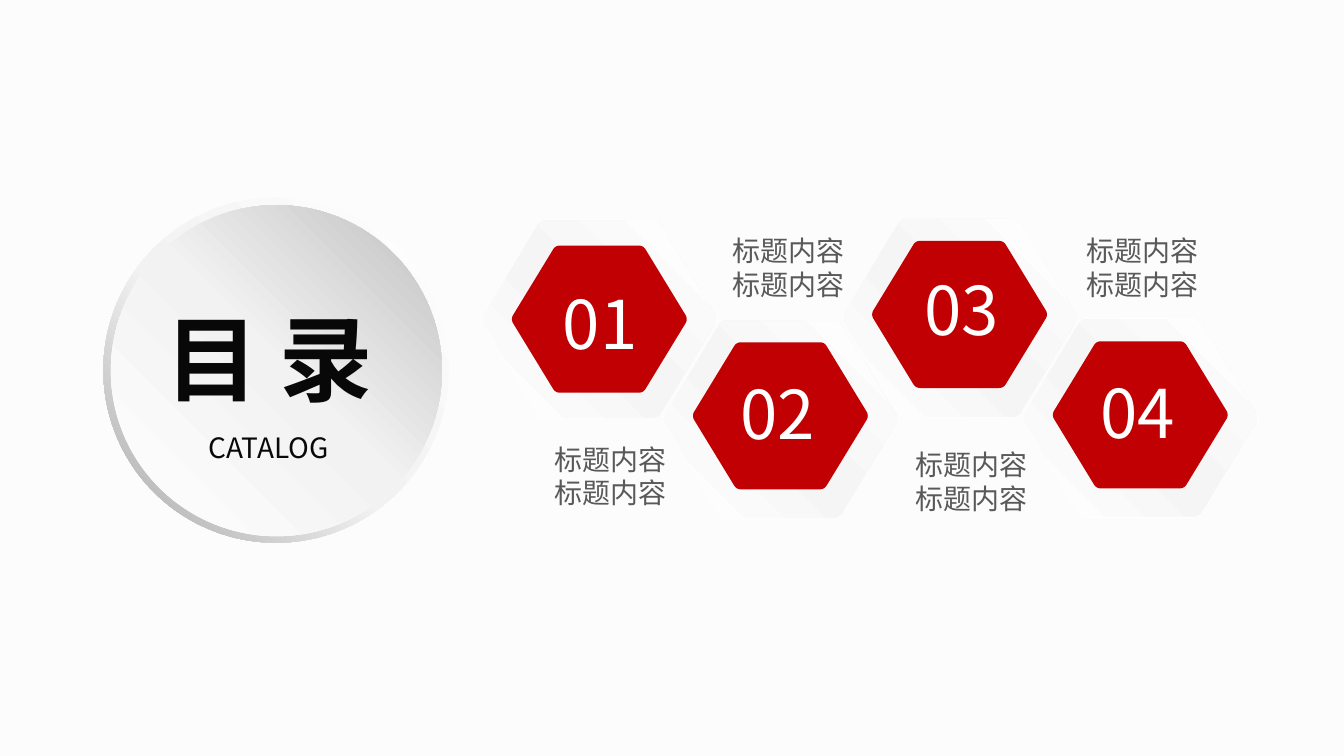
from dataclasses import dataclass
from copy import deepcopy

from lxml import etree
from pptx import Presentation
from pptx.dml.color import RGBColor
from pptx.enum.shapes import MSO_SHAPE
from pptx.enum.text import MSO_ANCHOR, MSO_AUTO_SIZE, PP_ALIGN
from pptx.oxml.ns import qn
from pptx.util import Pt

DONUT, ELLIPSE = MSO_SHAPE.DONUT, MSO_SHAPE.OVAL
LEFT, CENTER = PP_ALIGN.LEFT, PP_ALIGN.CENTER
TOP, MIDDLE = MSO_ANCHOR.TOP, MSO_ANCHOR.MIDDLE
GROW, FIXED = MSO_AUTO_SIZE.SHAPE_TO_FIT_TEXT, MSO_AUTO_SIZE.NONE


@dataclass(frozen=True)
class Theme:
    font: str = "Noto Sans CJK SC"
    background: str = "FCFCFC"
    ink: str = "080808"
    label: str = "595959"
    white: str = "FFFFFF"
    red: str = "C00002"
    title_size: float = 50
    number_size: float = 36
    body_size: float = 15
    ring_stops: tuple = ((0, "FFFFFF"), (0.55, "F2F2F2"), (1, "A6A6A6"))
    disc_stops: tuple = ((0, "FFFFFF"), (0.51, "F2F2F2"), (1, "BFBFBF"))
    rim_stops: tuple = ((0, "FFFFFF"), (0.47, "F5F5F5"), (1, "FFFFFF"))


# Rounded corners of a hexagon's upper right quarter, as Bezier control
# points in fractions of half its width and half its height.
RIGHT_CORNER = ((0.99, 0.05), (0.998, 0.03), (1, 0.015), (1, 0))
TOP_CORNER = ((0.45, 1), (0.485, 1), (0.515, 0.98), (0.53, 0.946))


def bezier(controls, steps=6):
    """Return evenly spaced points on a cubic Bezier curve."""
    points = []
    for step in range(steps + 1):
        t = step / steps
        weights = ((1 - t) ** 3, 3 * t * (1 - t) ** 2, 3 * t * t * (1 - t), t ** 3)
        points.append(tuple(sum(w * c[axis] for w, c in zip(weights, controls))
                            for axis in (0, 1)))
    return points


def hexagon_outline():
    quarter = bezier(TOP_CORNER) + bezier(RIGHT_CORNER)
    right = quarter + [(x, -y) for x, y in reversed(quarter)]
    return right + [(-x, y) for x, y in reversed(right)]


class SlideBuilder:
    def __init__(self, slide, theme):
        self.slide = slide
        self.theme = theme
        self.outline = hexagon_outline()
        slide.background.fill.solid()
        slide.background.fill.fore_color.rgb = RGBColor.from_string(theme.background)

    def paint(self, shape, fill, angle):
        """Fill with one colour, or with gradient stops at a clockwise angle."""
        shape.shadow.inherit = False
        shape.line.fill.background()
        if isinstance(fill, str):
            shape.fill.solid()
            shape.fill.fore_color.rgb = RGBColor.from_string(fill)
            return
        shape.fill.gradient()
        shape.fill.gradient_angle = 360 - angle
        stop_list = next(shape._element.spPr.iter(qn("a:gsLst")))
        while len(stop_list) < len(fill):
            stop_list.append(deepcopy(stop_list[-1]))
        for stop, (position, color) in zip(shape.fill.gradient_stops, fill):
            stop.position = position
            stop.color.rgb = RGBColor.from_string(color)

    def round_shape(self, kind, left, top, size, fill, angle):
        shape = self.slide.shapes.add_shape(kind, Pt(left), Pt(top), Pt(size), Pt(size))
        self.paint(shape, fill, angle)
        return shape

    def hexagon(self, center_x, center_y, width, height, fill, angle=0):
        points = [(Pt(center_x + x * width / 2), Pt(center_y - y * height / 2))
                  for x, y in self.outline]
        builder = self.slide.shapes.build_freeform(*points[0])
        builder.add_line_segments(points[1:], close=True)
        self.paint(builder.convert_to_shape(), fill, angle)

    def text(self, content, left, top, width, height, *, size, color, bold=False,
             align=LEFT, anchor=TOP, auto_size=GROW, insets=(7.2, 3.6)):
        box = self.slide.shapes.add_textbox(Pt(left), Pt(top), Pt(width), Pt(height))
        frame = box.text_frame
        frame.word_wrap = True
        frame.auto_size = auto_size
        frame.vertical_anchor = anchor
        frame.margin_left = frame.margin_right = Pt(insets[0])
        frame.margin_top = frame.margin_bottom = Pt(insets[1])
        frame.text = content
        for para in frame.paragraphs:
            para.alignment = align
            for span in para.runs:
                font = span.font
                font.name = self.theme.font
                font.size = Pt(size)
                font.bold = bold
                font.color.rgb = RGBColor.from_string(color)
                east_asian = etree.SubElement(span._r.get_or_add_rPr(), qn("a:ea"))
                east_asian.set("typeface", self.theme.font)

    def badge(self, number, center_x, center_y, core_shift, text_left, text_top, text_width):
        """Draw a numbered hexagon: white edge, shaded rim and red core."""
        theme = self.theme
        self.hexagon(center_x, center_y, 126, 107, theme.white)
        self.hexagon(center_x, center_y, 125, 106, theme.rim_stops, 315)
        self.hexagon(center_x, center_y + core_shift, 93.6, 78.8, theme.red)
        self.text(number, text_left, text_top, text_width, 51,
                  size=theme.number_size, color=theme.white)


def main():
    deck = Presentation()
    deck.slide_width, deck.slide_height = Pt(720), Pt(405)
    theme = Theme()
    page = SlideBuilder(deck.slides.add_slide(deck.slide_layouts[6]), theme)

    ring = page.round_shape(DONUT, 55.4, 105.8, 185, theme.ring_stops, 135)
    ring.adjustments[0] = 0.049
    page.round_shape(ELLIPSE, 59.4, 109.9, 177.4, theme.disc_stops, 315)
    page.text("目 录", 81.4, 157.7, 130.3, 67.7,
              size=theme.title_size, color=theme.ink, bold=True)
    page.text("CATALOG", 90, 224.6, 108, 30.2, size=theme.body_size, color=theme.ink,
              align=CENTER, anchor=MIDDLE, auto_size=FIXED, insets=(5, 2.9))

    badges = (
        ("03", 514.1, 170.3, -1.8, 488.2, 140.4, 67),
        ("01", 321.1, 171, 0, 294.5, 147.6, 61.2),
        ("02", 418.1, 224.6, -1.8, 389.5, 195.8, 64.1),
        ("04", 610.9, 223.9, -1.6, 582.5, 195.1, 62.6),
    )
    for badge in badges:
        page.badge(*badge)

    caption = "标题内容"
    labels = (
        (f"{caption}\n{caption}", 286.6, 233.3, 43.9),
        (f"{caption}\n{caption}", 382.3, 121.7, 43.9),
        (caption * 2, 479.9, 236.2, 61.9),
        (caption * 2, 571.7, 121.7, 61.9),
    )
    for content, left, top, height in labels:
        page.text(content, left, top, 80.6, height,
                  size=theme.body_size, color=theme.label, align=CENTER)

    deck.save("out.pptx")


if __name__ == "__main__":
    main()
